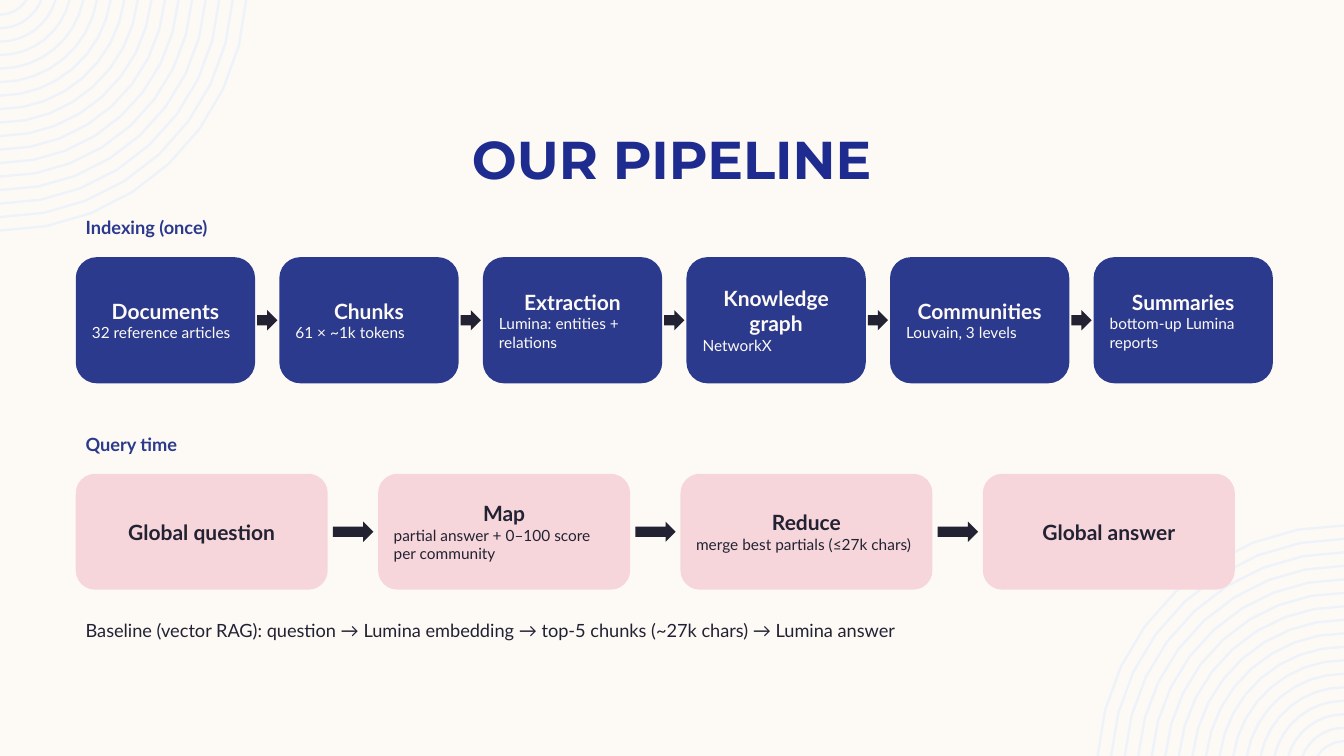
import math
from dataclasses import dataclass

from pptx import Presentation
from pptx import util as u
from pptx.dml.color import RGBColor
from pptx.enum import shapes, text

COLORS = {
    "background": "FDFAF6",
    "rings": "EEF3FA",
    "title": "1F2C8F",
    "navy": "2B3A8C",
    "pink": "F6D6DA",
    "ink": "222233",
}
SLIDE_W, SLIDE_H = 33.87, 19.05
MARGIN = 1.91
ARROW_H = 0.51


@dataclass
class Style:
    size: float
    color: str
    bold: bool = False
    font: str = "Lato"


@dataclass
class Label:
    text: str
    left: float
    top: float
    width: float
    height: float
    style: Style


@dataclass
class Step:
    name: str
    detail: str = ""


@dataclass
class Flow:
    steps: list[Step]
    top: float
    width: float
    height: float
    pitch: float
    arrow_gap: float
    arrow_width: float
    fill: str
    ink: str


LABELS = [
    Label("Indexing (once)", MARGIN, 5.33, 10.16, 1.02, Style(13, "navy", True)),
    Label("Query time", MARGIN, 10.8, 10.16, 1.02, Style(13, "navy", True)),
    Label("Baseline (vector RAG): question → Lumina embedding → "
          "top-5 chunks (~27k chars) → Lumina answer",
          MARGIN, 15.49, 29.21, 1.02, Style(13, "ink")),
]
FLOWS = [
    Flow([
        Step("Documents", "32 reference articles"),
        Step("Chunks", "61 × ~1k tokens"),
        Step("Extraction", "Lumina: entities + relations"),
        Step("Knowledge graph", "NetworkX"),
        Step("Communities", "Louvain, 3 levels"),
        Step("Summaries", "bottom-up Lumina reports"),
    ], 6.48, 4.52, 3.18, 5.13, 0.05, 0.51, "navy", "background"),
    Flow([
        Step("Global question"),
        Step("Map", "partial answer + 0–100 score per community"),
        Step("Reduce", "merge best partials (≤27k chars)"),
        Step("Global answer"),
    ], 11.94, 6.35, 2.92, 7.62, 0.13, 1.02, "pink", "ink"),
]


def rgb(name: str) -> RGBColor:
    return RGBColor.from_string(COLORS[name])


def paint(sp, color: str) -> None:
    sp.shadow.inherit = False
    sp.fill.solid()
    sp.fill.fore_color.rgb = rgb(color)
    sp.line.fill.background()


def write(p, content: str, style: Style, align=text.PP_ALIGN.LEFT) -> None:
    p.alignment = align
    r = p.add_run()
    r.text = content
    r.font.name = style.font
    r.font.size = u.Pt(style.size)
    r.font.bold = style.bold
    r.font.color.rgb = rgb(style.color)


def add_rings(s, flipped: bool) -> None:
    center_y, outer, step, count, parts = -0.41, 6.22, 0.34, 17, 8

    def arc(radius: float) -> list[tuple[int, int]]:
        start = math.asin(-center_y / radius)
        points = []
        for i in range(parts + 1):
            angle = start + (math.pi / 2 - start) * i / parts
            x = radius * math.cos(angle)
            y = max(0, center_y + radius * math.sin(angle))
            if flipped:
                x, y = SLIDE_W - x, SLIDE_H - y
            points.append((u.Cm(x), u.Cm(y)))
        return points

    rings = [arc(outer - i * step) for i in range(count)]
    builder = s.shapes.build_freeform(*rings[0][0])
    for ring in rings:
        builder.move_to(*ring[0])
        builder.add_line_segments(ring[1:], close=False)
    sp = builder.convert_to_shape()
    sp.shadow.inherit = False
    sp.fill.background()
    sp.line.color.rgb = rgb("rings")
    sp.line.width = u.Pt(1.75)


def add_label(s, label: Label):
    box = s.shapes.add_textbox(u.Cm(label.left), u.Cm(label.top),
                               u.Cm(label.width), u.Cm(label.height))
    tf = box.text_frame
    tf.word_wrap = True
    tf.auto_size = text.MSO_AUTO_SIZE.SHAPE_TO_FIT_TEXT
    write(tf.paragraphs[0], label.text, label.style)
    return tf


def add_title(s) -> None:
    tf = add_label(s, Label("OUR PIPELINE", 2.11, 2.03, 29.64, 3.78,
                            Style(38, "title", True, "Montserrat")))
    tf.auto_size = text.MSO_AUTO_SIZE.NONE
    tf.vertical_anchor = text.MSO_ANCHOR.MIDDLE
    p = tf.paragraphs[0]
    p.alignment = text.PP_ALIGN.CENTER
    p.line_spacing = u.Pt(48.8)


def add_step(s, flow: Flow, step: Step, left: float) -> None:
    sp = s.shapes.add_shape(shapes.MSO_SHAPE.ROUNDED_RECTANGLE, u.Cm(left),
                            u.Cm(flow.top), u.Cm(flow.width), u.Cm(flow.height))
    paint(sp, flow.fill)
    tf = sp.text_frame
    tf.word_wrap = True
    tf.vertical_anchor = text.MSO_ANCHOR.MIDDLE
    write(tf.paragraphs[0], step.name, Style(15, flow.ink, True),
          text.PP_ALIGN.CENTER)
    if step.detail:
        write(tf.add_paragraph(), step.detail, Style(11, flow.ink))


def add_flow(s, flow: Flow) -> None:
    for i, step in enumerate(flow.steps):
        left = MARGIN + i * flow.pitch
        add_step(s, flow, step, left)
        if i < len(flow.steps) - 1:
            arrow = s.shapes.add_shape(
                shapes.MSO_SHAPE.RIGHT_ARROW,
                u.Cm(left + flow.width + flow.arrow_gap),
                u.Cm(flow.top + (flow.height - ARROW_H) / 2),
                u.Cm(flow.arrow_width), u.Cm(ARROW_H))
            paint(arrow, "ink")


def main() -> None:
    prs = Presentation()
    prs.slide_width, prs.slide_height = u.Cm(SLIDE_W), u.Cm(SLIDE_H)
    s = prs.slides.add_slide(prs.slide_layouts[6])
    s.background.fill.solid()
    s.background.fill.fore_color.rgb = rgb("background")
    for flipped in (False, True):
        add_rings(s, flipped)
    add_title(s)
    for flow in FLOWS:
        add_flow(s, flow)
    for label in LABELS:
        add_label(s, label)
    prs.save("out.pptx")


if __name__ == "__main__":
    main()
